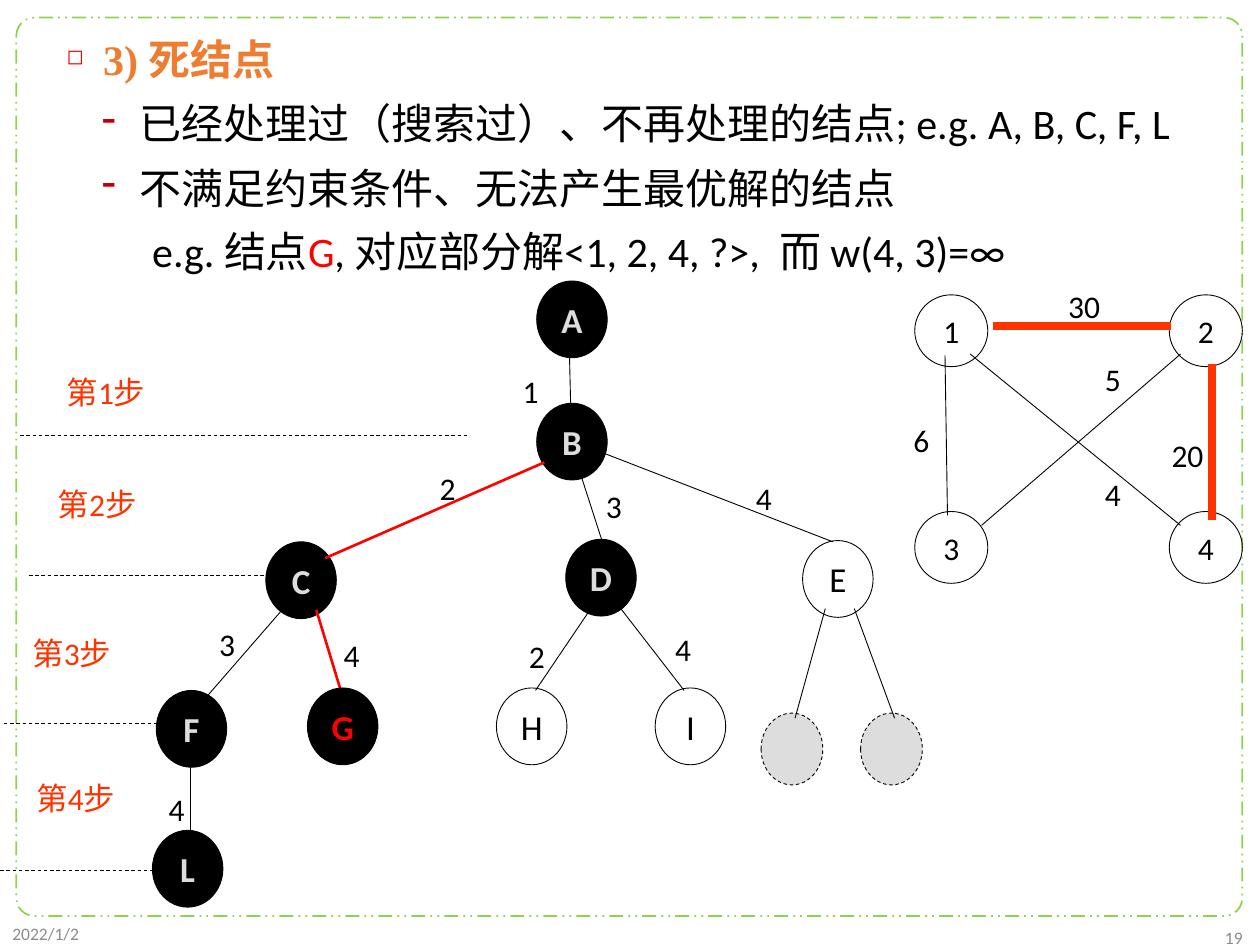
from lxml.etree import SubElement
from pptx import Presentation
from pptx.dml.color import RGBColor
from pptx.enum.dml import MSO_LINE
from pptx.enum.shapes import MSO_CONNECTOR, MSO_SHAPE
from pptx.enum.text import MSO_ANCHOR, PP_ALIGN
from pptx.oxml.ns import qn
from pptx.util import Inches, Pt

BLACK, WHITE, RED, ORANGE = "000000", "FFFFFF", "FF0000", "FF3300"
PALE, GREY, GREEN = "DDDDDD", "8C8C8C", "92D050"


def color(value):
    return RGBColor.from_string(value)


class Board:
    font = "Calibri"

    def __init__(self, slide):
        self.s = slide

    def run(self, p, text, size, fg=BLACK, bold=False, font=None):
        r = p.add_run()
        r.text = text
        r.font.name = font or self.font
        r.font.size = Pt(size)
        r.font.bold = bold
        r.font.color.rgb = color(fg)

    def outline(self, line, fg, width, dash=None):
        line.color.rgb = color(fg)
        line.width = Pt(width)
        if dash:
            line.dash_style = dash

    def shape(self, kind, x, y, w, h, fill=None, fg=BLACK, width=0.5, dash=None):
        sp = self.s.shapes.add_shape(kind, Inches(x), Inches(y), Inches(w), Inches(h))
        sp.shadow.inherit = False
        if fill:
            sp.fill.solid()
            sp.fill.fore_color.rgb = color(fill)
        else:
            sp.fill.background()
        self.outline(sp.line, fg, width, dash)
        return sp

    def node(self, text, x, y, w=0.56, h=0.61, size=20, fill=None, fg=BLACK):
        sp = self.shape(MSO_SHAPE.OVAL, x, y, w, h, fill)
        tf = sp.text_frame
        tf.margin_left = tf.margin_right = tf.margin_top = tf.margin_bottom = 0
        tf.vertical_anchor = MSO_ANCHOR.MIDDLE
        p = tf.paragraphs[0]
        p.alignment = PP_ALIGN.CENTER
        self.run(p, text, size, fg, bold=fill == BLACK)

    def edge(self, x1, y1, x2, y2, fg=BLACK, width=0.5, dash=None):
        cn = self.s.shapes.add_connector(
            MSO_CONNECTOR.STRAIGHT, Inches(x1), Inches(y1), Inches(x2), Inches(y2))
        SubElement(cn._element.spPr, qn("a:effectLst"))
        self.outline(cn.line, fg, width, dash)

    def frame(self, x, y, w, h, wrap=True, anchor=MSO_ANCHOR.TOP):
        tf = self.s.shapes.add_textbox(
            Inches(x), Inches(y), Inches(w), Inches(h)).text_frame
        tf.word_wrap = wrap
        tf.vertical_anchor = anchor
        return tf

    def label(self, text, x, y, w, h=0.4, size=18, fg=BLACK, wrap=False,
              anchor=MSO_ANCHOR.TOP, align=PP_ALIGN.LEFT):
        p = self.frame(x, y, w, h, wrap, anchor).paragraphs[0]
        p.alignment = align
        self.run(p, text, size, fg)

    def paragraph(self, p, runs, left, hang=0, spacing=1.1, before=0, bullet=None):
        p.line_spacing = spacing
        p.space_before = Pt(before)
        ppr = p._p.get_or_add_pPr()
        ppr.set("marL", str(Inches(left)))
        ppr.set("indent", str(-Inches(hang)))
        if bullet:
            char, fg, percent = bullet
            SubElement(SubElement(ppr, qn("a:buClr")), qn("a:srgbClr"), val=fg)
            SubElement(ppr, qn("a:buSzPct"), val=str(percent * 1000))
            SubElement(ppr, qn("a:buChar"), char=char)
        for text, style in runs:
            self.run(p, text, 24, **style)


def draw_text(b):
    border = b.shape(MSO_SHAPE.ROUNDED_RECTANGLE, 0.13, 0.14, 9.73, 7.13,
                     fg=GREEN, width=1, dash=MSO_LINE.DASH_DOT_DOT)
    border.adjustments[0] = 0.02
    tf = b.frame(0.13, 0.18, 9.73, 2.1)
    title = {"fg": "ED7D31", "bold": True, "font": "Times New Roman"}
    b.paragraph(tf.paragraphs[0], [("3) 死结点", title)], 0.59, 0.29,
                bullet=("◻", RED, 50))
    for text in ("已经处理过（搜索过）、不再处理的结点; e.g. A, B, C, F, L",
                 "不满足约束条件、无法产生最优解的结点"):
        b.paragraph(tf.add_paragraph(), [(text, {})], 0.88, 0.3, before=5,
                    bullet=("-", "C00000", 100))
    b.paragraph(tf.add_paragraph(), [
        ("e.g. 结点", {}), ("G", {"fg": RED}),
        (", 对应部分解<1, 2, 4, ?>,  而 w(4, 3)=∞", {})], 0.98, spacing=1.25)
    b.label("2022/1/2", 0, 7.26, 2.25, 0.29, 10, GREY, True, MSO_ANCHOR.MIDDLE)
    b.label("19", 7.71, 7.31, 2.25, 0.26, 10, GREY, True, MSO_ANCHOR.MIDDLE,
            PP_ALIGN.RIGHT)


def draw_tree(b):
    for name, x, y in (("A", 4.26, 2.23), ("B", 4.26, 3.2), ("C", 2.11, 4.3),
                       ("D", 4.49, 4.28), ("F", 1.24, 5.48), ("L", 1.21, 6.59)):
        b.node(name, x, y, fill=BLACK, fg=PALE)
    for name, x, y in (("E", 6.37, 4.29), ("H", 3.94, 5.46), ("I", 5.2, 5.46)):
        b.node(name, x, y)
    for x in (6.04, 6.83):
        b.shape(MSO_SHAPE.OVAL, x, 5.66, 0.49, 0.57, PALE, dash=MSO_LINE.DASH)
    for ends in ((4.52, 2.82, 4.53, 3.25), (4.8, 3.6, 6.61, 4.3),
                 (4.6, 3.74, 4.8, 4.36), (2.24, 4.84, 1.64, 5.53),
                 (1.51, 6.01, 1.51, 6.84), (4.73, 4.77, 4.25, 5.48),
                 (4.88, 4.77, 5.43, 5.48), (6.55, 4.83, 6.31, 5.7),
                 (6.78, 4.83, 7.1, 5.7)):
        b.edge(*ends)
    for ends in ((4.32, 3.67, 2.58, 4.43), (2.51, 4.84, 2.72, 5.53)):
        b.edge(*ends, fg=RED, width=1.5)
    b.node("G", 2.44, 5.46, fill=BLACK, fg=RED)
    for text, x, y in (("1", 4.05, 2.9), ("2", 3.39, 3.67), ("3", 4.71, 3.82),
                       ("4", 5.9, 3.75), ("3", 1.64, 4.91), ("4", 2.63, 5),
                       ("2", 4.1, 5.01), ("4", 5.26, 4.95), ("4", 1.24, 6.22)):
        b.label(text, x, y, 0.34)


def draw_steps(b):
    steps = ((0.43, 2.91, 0.16, 3.72, 3.46), (0.36, 3.8, 0.23, 2.11, 4.57),
             (0.16, 4.98, 0.03, 1.24, 5.74), (0.19, 6.13, 0, 1.21, 6.91))
    for i, (x, y, start, end, level) in enumerate(steps, 1):
        b.edge(start, level, end, level, dash=MSO_LINE.DASH)
        b.label(f"第{i}步", x, y, 0.84, fg=ORANGE, wrap=True)


def draw_graph(b):
    for i, (x, y) in enumerate(
            ((7.26, 2.34), (9.28, 2.34), (7.26, 4.06), (9.28, 4.06)), 1):
        b.node(str(i), x, y, 0.58, 0.57, 18)
    for ends in ((7.88, 2.59, 9.29, 2.59), (9.62, 2.89, 9.62, 4.13)):
        b.edge(*ends, fg=ORANGE, width=4.5)
    for ends in ((7.5, 2.82, 7.52, 4.09), (7.79, 4.17, 9.37, 2.81),
                 (7.7, 2.81, 9.37, 4.17)):
        b.edge(*ends)
    for text, x, y, w in (("30", 8.38, 2.23, 0.46), ("6", 7.15, 3.29, 0.34),
                          ("20", 9.2, 3.41, 0.46), ("5", 8.67, 2.81, 0.34),
                          ("4", 8.67, 3.72, 0.34)):
        b.label(text, x, y, w)


def main():
    prs = Presentation()
    prs.slide_width, prs.slide_height = Inches(10), Inches(7.5)
    s = prs.slides.add_slide(prs.slide_layouts[6])
    s.background.fill.solid()
    s.background.fill.fore_color.rgb = color(WHITE)
    b = Board(s)
    for draw in (draw_text, draw_tree, draw_steps, draw_graph):
        draw(b)
    prs.save("out.pptx")


if __name__ == "__main__":
    main()
